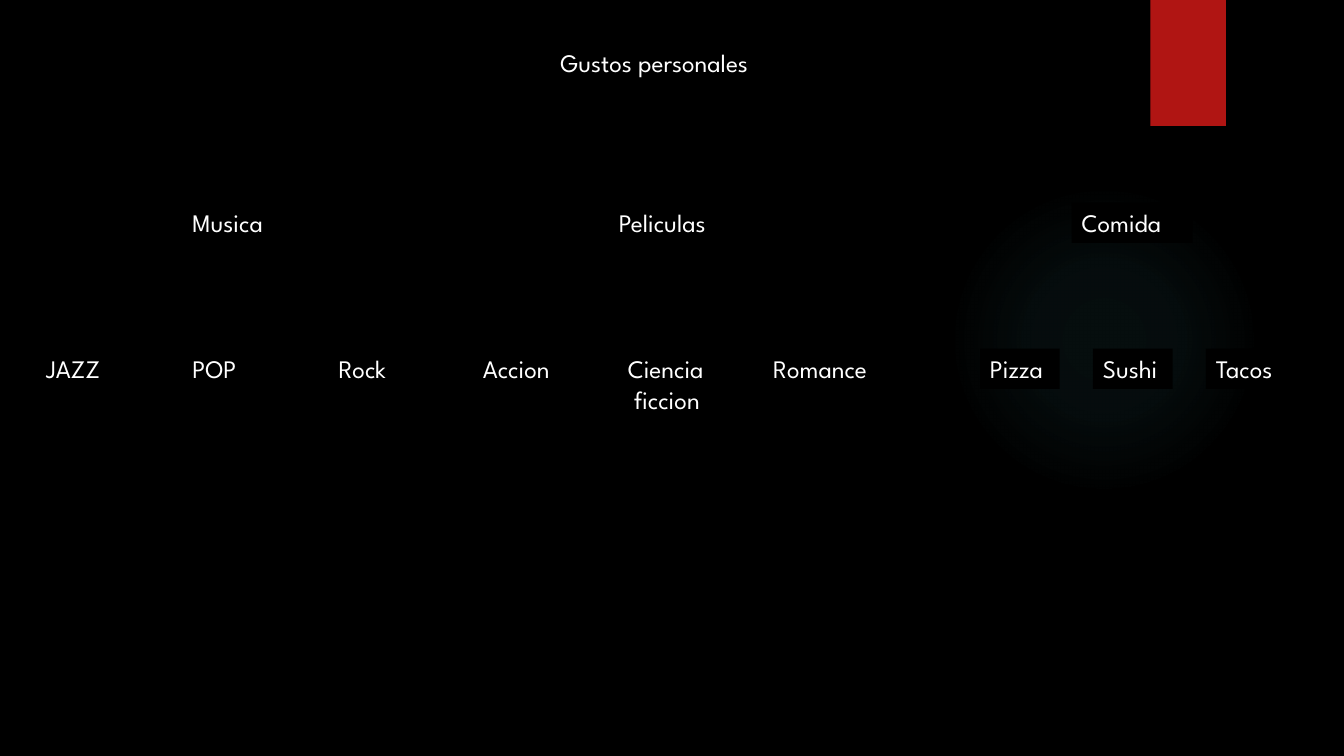
"""Build a slide that sorts personal tastes into music, films and food."""
from pptx import Presentation
from pptx.dml.color import RGBColor
from pptx.enum.shapes import MSO_SHAPE as Shape
from pptx.enum.text import MSO_AUTO_SIZE as Auto
from pptx.oxml import parse_xml
from pptx.oxml.ns import nsdecls
from pptx.util import Inches, Pt

BLACK = RGBColor(0x00, 0x00, 0x00)
WHITE = RGBColor(0xFF, 0xFF, 0xFF)
RED = RGBColor(0xB0, 0x15, 0x13)
TEAL = RGBColor(0x50, 0xB9, 0xC1)
FONT = "League Spartan"

deck = Presentation()
deck.slide_width = Inches(13.33)
deck.slide_height = Inches(7.5)
slide = deck.slides.add_slide(deck.slide_layouts[6])
back = slide.background.fill
back.solid()
back.fore_color.rgb = BLACK


def add_box(kind, left, top, width, height, color):
    box = slide.shapes.add_shape(
        kind, Inches(left), Inches(top), Inches(width), Inches(height))
    box.shadow.inherit = False
    box.line.fill.background()
    box.fill.solid()
    box.fill.fore_color.rgb = color
    return box


def add_label(text, left, top, width, height=0.4):
    label = slide.shapes.add_textbox(
        Inches(left), Inches(top), Inches(width), Inches(height))
    label.fill.solid()
    label.fill.fore_color.rgb = BLACK
    frame = label.text_frame
    frame.word_wrap = False
    frame.auto_size = Auto.SHAPE_TO_FIT_TEXT
    para = frame.paragraphs[0]
    para.text = text
    for run in para.runs:
        run.font.name = FONT
        run.font.size = Pt(18)
        run.font.color.rgb = WHITE


glow = add_box(Shape.OVAL, 9.41, 1.83, 3.08, 3.08, TEAL)
stops = "".join(
    f'<a:gs pos="{pos * 1000}"><a:srgbClr val="{TEAL}">'
    f'<a:alpha val="{alpha * 1000}"/></a:srgbClr></a:gs>'
    for pos, alpha in [(0, 7), (36, 6), (69, 0)])
fade = parse_xml(
    f'<a:gradFill {nsdecls("a")}><a:gsLst>{stops}</a:gsLst><a:path path="circle">'
    '<a:fillToRect l="50000" t="50000" r="50000" b="50000"/></a:path></a:gradFill>')
props = glow.element.spPr
props.replace(props.find(".//{*}solidFill"), fade)

add_box(Shape.RECTANGLE, 11.41, 0, 0.75, 1.25, RED)

add_label("Gustos personales", 5.46, 0.42, 2.41)

groups = [
    ("Musica", 1.81, 1.07, 0.36, 1.45,
     [("JAZZ", 0.75), ("POP", 0.72), ("Rock", 0.81)]),
    ("Peliculas", 6.04, 1.26, 4.69, 1.44,
     [("Accion", 1.09), ("Ciencia\v ficcion", 1.16), ("Romance", 1.41)]),
    ("Comida", 10.63, 1.2, 9.72, 1.12,
     [("Pizza", 0.79), ("Sushi", 0.79), ("Tacos", 0.91)]),
]
for name, left, width, start, step, items in groups:
    add_label(name, left, 2.01, width)
    for i, (item, span) in enumerate(items):
        add_label(item, start + i * step, 3.46, span, 0.71 if "\v" in item else 0.4)

deck.save("out.pptx")
